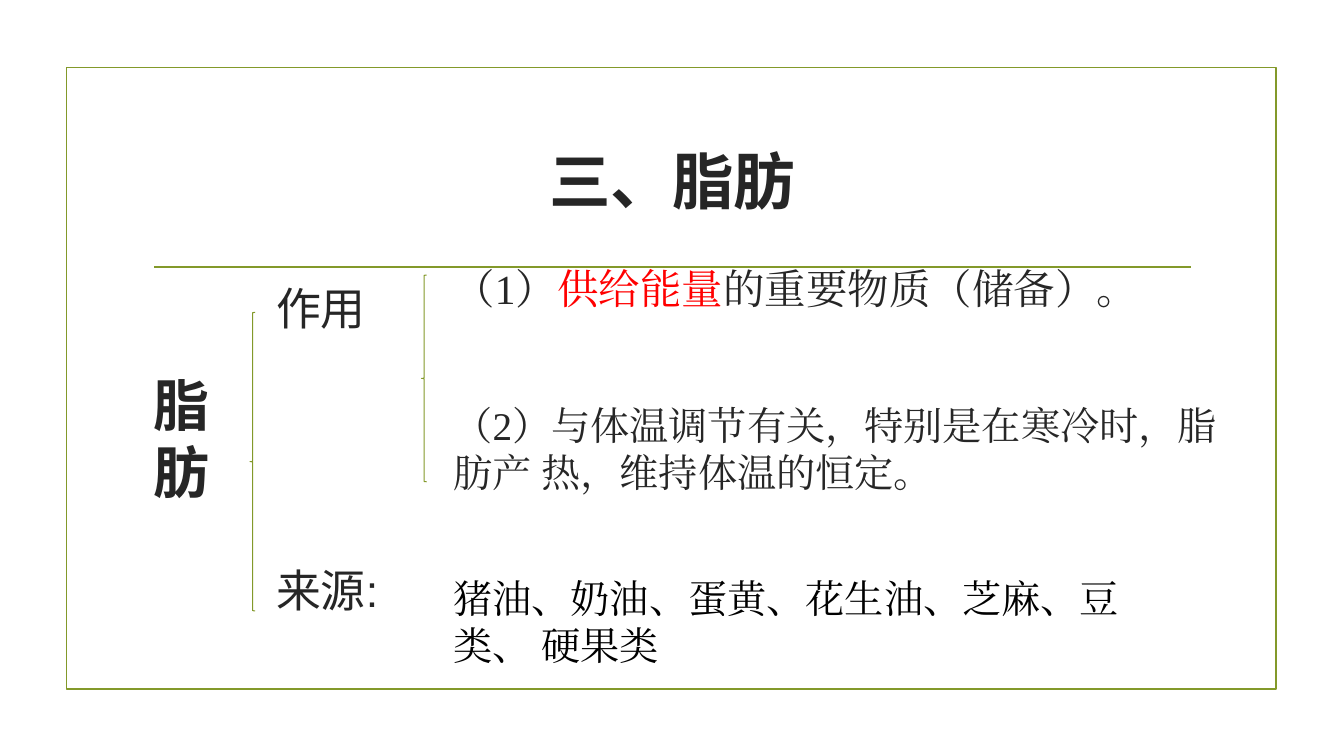
from dataclasses import dataclass

from lxml.etree import SubElement
from pptx import Presentation
from pptx.dml.color import RGBColor
from pptx.enum.shapes import MSO_CONNECTOR as Connector, MSO_SHAPE as Shape
from pptx.enum.text import MSO_ANCHOR as Anchor, PP_ALIGN as Align
from pptx.oxml.ns import qn
from pptx.util import Inches, Length, Pt


@dataclass(frozen=True)
class Theme:
    olive: str = "83992A"
    ink: str = "262626"
    black: str = "000000"
    red: str = "FF0000"
    heading_font: str = "Noto Sans CJK SC"
    label_font: str = "Arial"
    body_font: str = "Times New Roman"
    title_size: float = 44
    topic_size: float = 40
    label_size: float = 32
    lead_size: float = 29.6
    body_size: float = 28
    frame_line: float = 1.25
    brace_line: float = 0.75


@dataclass(frozen=True)
class Box:
    """Left, top, width and height in percent of the slide."""
    left: float
    top: float
    width: float
    height: float


@dataclass(frozen=True)
class Run:
    text: str
    color: str


@dataclass(frozen=True)
class Label:
    box: Box
    runs: tuple[Run, ...]
    size: float
    font: str
    bold: bool = False
    align: Align = Align.LEFT
    anchor: Anchor = Anchor.TOP


@dataclass(frozen=True)
class Outline:
    kind: Shape
    box: Box
    weight: float


T = Theme()
LABEL_X, BODY_X = 19.8, 33

OUTLINES = (
    Outline(Shape.RECTANGLE, Box(4.95, 8.93, 90, 82.27), T.frame_line),
    Outline(Shape.LEFT_BRACE, Box(18.6, 41.33, 0.38, 39.47), T.brace_line),
    Outline(Shape.LEFT_BRACE, Box(31.36, 36.4, 0.38, 27.33), T.brace_line),
)
TITLE_RULE = Box(11.48, 35.33, 77.12, 0)

LABELS = (
    Label(Box(10.65, 14.27, 78.77, 19.07), (Run("三、脂肪", T.ink),),
          T.title_size, T.heading_font, True, Align.CENTER, Anchor.MIDDLE),
    Label(Box(10.65, 48.4, 3.83, 32.4), (Run("脂肪", T.ink),),
          T.topic_size, T.label_font, True),
    Label(Box(LABEL_X, 36.53, 18.68, 11.87), (Run("作用", T.ink),),
          T.label_size, T.label_font),
    Label(Box(LABEL_X, 73.73, 18.68, 11.87), (Run("来源:", T.ink),),
          T.label_size, T.label_font),
    Label(Box(BODY_X, 34.13, 52.06, 7.07),
          (Run("（1）", T.ink), Run("供给能量", T.red),
           Run("的重要物质（储备）。", T.ink)),
          T.lead_size, T.body_font),
    Label(Box(BODY_X, 52.4, 59.71, 25.33),
          (Run("（2）与体温调节有关，特别是在寒冷时，脂肪产 热，维持体温的恒定。", T.ink),),
          T.body_size, T.body_font),
    Label(Box(BODY_X, 75.33, 51.39, 13.87),
          (Run("猪油、奶油、蛋黄、花生油、芝麻、豆类、 硬果类", T.black),),
          T.body_size, T.body_font),
)

prs = Presentation()
prs.slide_width, prs.slide_height = Inches(13.33), Inches(7.5)
slide = prs.slides.add_slide(prs.slide_layouts[6])


def place(box: Box) -> tuple[Length, ...]:
    w, h = prs.slide_width, prs.slide_height
    shares = ((box.left, w), (box.top, h), (box.width, w), (box.height, h))
    return tuple(Length(round(side * share / 100)) for share, side in shares)


def draw_outline(item: Outline) -> None:
    sp = slide.shapes.add_shape(item.kind, *place(item.box))
    sp.shadow.inherit = False
    sp.fill.background()
    sp.line.color.rgb = RGBColor.from_string(T.olive)
    sp.line.width = Pt(item.weight)


def draw_rule(box: Box) -> None:
    x, y, w, h = place(box)
    rule = slide.shapes.add_connector(Connector.STRAIGHT, x, y, x + w, y + h)
    rule.line.color.rgb = RGBColor.from_string(T.olive)
    rule.line.width = Pt(T.frame_line)
    SubElement(rule._element.spPr, qn("a:effectLst"))


def draw_label(item: Label) -> None:
    tf = slide.shapes.add_textbox(*place(item.box)).text_frame
    tf.word_wrap = True
    tf.vertical_anchor = item.anchor
    p = tf.paragraphs[0]
    p.alignment = item.align
    for run in item.runs:
        r = p.add_run()
        r.text = run.text
        r.font.size = Pt(item.size)
        r.font.bold = item.bold
        r.font.name = item.font
        r.font.color.rgb = RGBColor.from_string(run.color)
        # East Asian glyphs use the same typeface
        SubElement(r.font._element, qn("a:ea"), typeface=item.font)


# Frame, braces and title rule
for outline in OUTLINES:
    draw_outline(outline)
draw_rule(TITLE_RULE)

# Title, labels and body text
for label in LABELS:
    draw_label(label)

prs.save("out.pptx")
